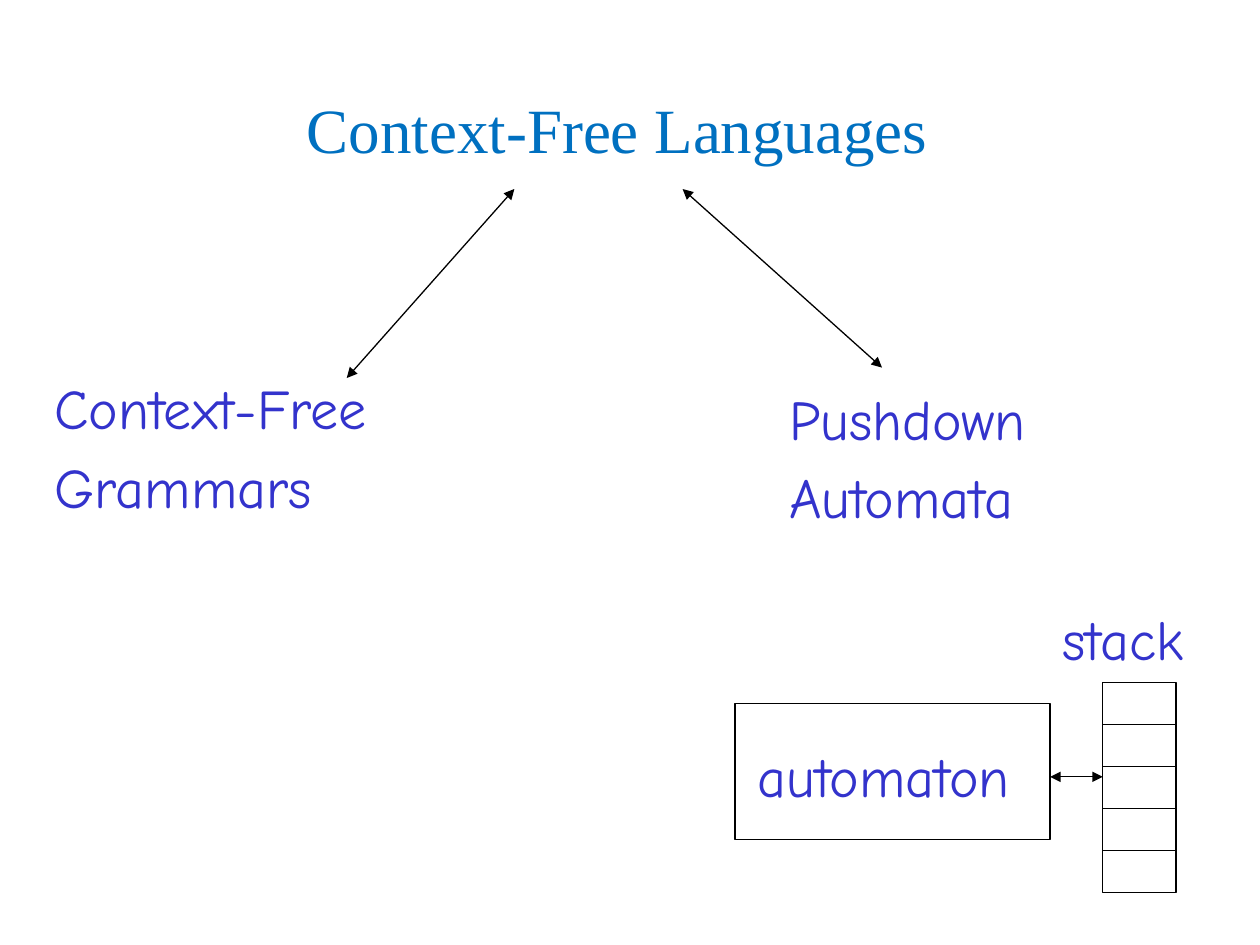
from lxml.etree import SubElement
from pptx import Presentation
from pptx.dml.color import RGBColor
from pptx.enum.shapes import MSO_CONNECTOR, MSO_SHAPE
from pptx.enum.text import MSO_ANCHOR, PP_ALIGN
from pptx.oxml.ns import qn
from pptx.util import Cm, Pt

BLACK = RGBColor(0x00, 0x00, 0x00)
TITLE_BLUE = RGBColor(0x00, 0x70, 0xC0)
LABEL_BLUE = RGBColor(0x33, 0x33, 0xCC)
TITLE_FONT = "Times New Roman"
LABEL_FONT = "Comic Neue"
LINE_WIDTH = Pt(0.75)

TITLE = ("Context-Free Languages", (5.93, 1.69, 13.16, 1.8))
LABELS = [
    ("Pushdown\nAutomata", (15.66, 7.62, 5.61, 3.23)),
    ("Context-Free\nGrammars", (0.85, 7.41, 7.67, 3.23)),
    ("stack", (21.17, 12.07, 3.35, 1.6)),
    ("automaton", (15.03, 14.82, 5.97, 1.6)),
]
AUTOMATON = (14.82, 14.18, 6.35, 2.75)
STACK = (22.23, 13.76, 1.48, 4.23)
STACK_CELLS = 5
ARROWS = [
    (10.37, 3.81, 6.99, 7.62),
    (13.76, 3.81, 17.78, 7.41),
    (21.17, 15.66, 22.23, 15.66),
]


def fill_text(shape, text, font_name, size, color):
    frame = shape.text_frame
    frame.text = text
    frame.word_wrap = True
    frame.vertical_anchor = MSO_ANCHOR.TOP
    for index, paragraph in enumerate(frame.paragraphs):
        paragraph.alignment = PP_ALIGN.LEFT
        paragraph.space_before = Pt(6.4 if index else 0)
        for run in paragraph.runs:
            run.font.name = font_name
            run.font.size = Pt(size)
            run.font.color.rgb = color


def add_box(slide, bounds):
    box = slide.shapes.add_shape(MSO_SHAPE.RECTANGLE, *map(Cm, bounds))
    box.shadow.inherit = False
    box.fill.background()
    box.line.color.rgb = BLACK
    box.line.width = LINE_WIDTH


def add_line(slide, ends, arrowheads=False):
    connector = slide.shapes.add_connector(MSO_CONNECTOR.STRAIGHT, *map(Cm, ends))
    connector.line.color.rgb = BLACK
    connector.line.width = LINE_WIDTH
    if arrowheads:
        line = connector.line._get_or_add_ln()
        for tag in ("a:headEnd", "a:tailEnd"):
            SubElement(line, qn(tag), type="triangle")
    SubElement(connector._element.spPr, qn("a:effectLst"))


def main():
    presentation = Presentation()
    presentation.slide_width = Cm(25.4)
    presentation.slide_height = Cm(19.05)
    slide = presentation.slides.add_slide(presentation.slide_layouts[5])

    text, bounds = TITLE
    title = slide.shapes.title
    title.left, title.top, title.width, title.height = map(Cm, bounds)
    fill_text(title, text, TITLE_FONT, 36, TITLE_BLUE)

    for ends in ARROWS:
        add_line(slide, ends, arrowheads=True)

    add_box(slide, AUTOMATON)
    add_box(slide, STACK)
    left, top, width, height = STACK
    for row in range(1, STACK_CELLS):
        y = top + row * height / STACK_CELLS
        add_line(slide, (left, y, left + width, y))

    for text, bounds in LABELS:
        label = slide.shapes.add_textbox(*map(Cm, bounds))
        fill_text(label, text, LABEL_FONT, 32, LABEL_BLUE)

    presentation.save("out.pptx")


if __name__ == "__main__":
    main()
